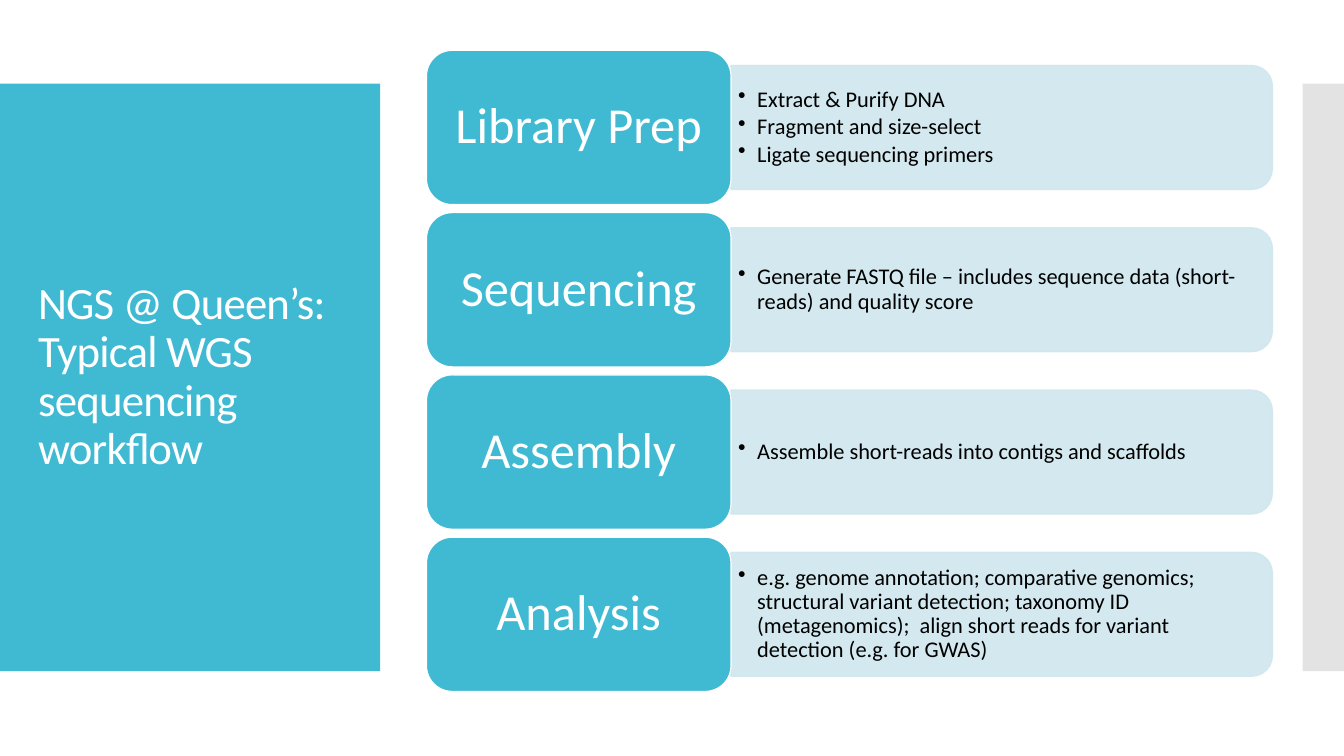
from lxml.etree import SubElement
from pptx import Presentation
from pptx.dml.color import RGBColor
from pptx.enum.shapes import MSO_SHAPE as Shape
from pptx.enum.text import MSO_ANCHOR as Anchor, PP_ALIGN as Align
from pptx.oxml.ns import qn
from pptx.util import Pt

PX = 9144  # EMU in one px, 100 px to the inch
FONT = "Calibri"
COLORS = {
    "teal": "40BAD2",
    "pale": "CFE7EE",
    "gray": "C8C8C8",
    "white": "FFFFFF",
    "black": "000000",
}
STEPS = [
    ("Library Prep", ["Extract & Purify DNA", "Fragment and size-select",
                      "Ligate sequencing primers"]),
    ("Sequencing", ["Generate FASTQ file – includes sequence data "
                    "(short-reads) and quality score"]),
    ("Assembly", ["Assemble short-reads into contigs and scaffolds"]),
    ("Analysis", ["e.g. genome annotation; comparative genomics; structural "
                  "variant detection; taxonomy ID (metagenomics);  align short "
                  "reads for variant detection (e.g. for GWAS)"]),
]


def emu(*lengths):
    return [round(length * PX) for length in lengths]


def paint(color_format, color, alpha):
    """Set a solid colour and its opacity in percent."""
    color_format.fore_color.rgb = RGBColor.from_string(COLORS[color])
    if alpha < 100:
        fill = color_format._xPr.find(qn("a:solidFill"))
        SubElement(fill[0], qn("a:alpha"), val=str(alpha * 1000))


def add_block(slide, kind, box, color, line=None, alpha=100):
    shape = slide.shapes.add_shape(kind, *emu(*box))
    shape.shadow.inherit = False
    shape.fill.solid()
    paint(shape.fill, color, alpha)
    if line:
        shape.line.width = Pt(0.85)
        shape.line.fill.solid()
        paint(shape.line.fill, line, alpha)
    else:
        shape.line.fill.background()
    return shape


def write(shape, lines, size, color, insets=(10, 5), align=Align.LEFT,
          after=0, bullet=False, spacing=0):
    """Fill a shape with one paragraph per line; insets are (side, top)."""
    frame = shape.text_frame
    frame.word_wrap = True
    frame.vertical_anchor = Anchor.MIDDLE
    side, top = emu(*insets)
    frame.margin_left = frame.margin_right = side
    frame.margin_top = frame.margin_bottom = top
    for index, line in enumerate(lines):
        paragraph = frame.add_paragraph() if index else frame.paragraphs[0]
        paragraph.text = line
        paragraph.alignment = align
        paragraph.line_spacing = 0.9
        paragraph.space_after = Pt(after)
        if bullet:
            properties = paragraph._p.get_or_add_pPr()
            indent, = emu(19)
            properties.set("marL", str(indent))
            properties.set("indent", str(-indent))
            SubElement(properties, qn("a:buChar"), char="•")
        for run in paragraph.runs:
            run.font.name = FONT
            run.font.size = Pt(size)
            run.font.color.rgb = RGBColor.from_string(COLORS[color])
            if spacing:
                run._r.get_or_add_rPr().set("spc", str(spacing))


def add_title_panel(slide, left, top, width, height):
    add_block(slide, Shape.RECTANGLE, (left, top, width, height), "teal")
    title = slide.shapes.add_textbox(
        *emu(left + 28, top + 40, width - 55, height - 80))
    write(title, ["NGS @ Queen’s:\vTypical WGS sequencing workflow"], 32,
          "white", spacing=-60)


def add_step(slide, left, top, width, height, name, details):
    label_width = 302
    panel_left, panel_width = left + label_width, width - label_width
    panel_height = height - 30

    # Detail panel: a tall shape turned so its round corners face right
    panel = add_block(
        slide, Shape.ROUND_2_SAME_RECTANGLE,
        (panel_left + (panel_width - panel_height) / 2,
         top + (height - panel_width) / 2, panel_height, panel_width),
        "pale", line="pale", alpha=90)
    panel.rotation = 90
    text = slide.shapes.add_textbox(
        *emu(panel_left, top + 21, panel_width - 6, height - 42))
    write(text, details, 16, "black", insets=(7, 3), after=2.4, bullet=True)

    # Step label
    label = add_block(slide, Shape.ROUNDED_RECTANGLE,
                      (left, top, label_width, height), "teal", line="white")
    write(label, [name], 36, "white", insets=(15, 7), align=Align.CENTER)


def add_workflow(slide, left, top, width, height):
    step_height = 153
    pitch = (height - step_height) / (len(STEPS) - 1)
    for index, (name, details) in enumerate(STEPS):
        add_step(slide, left, top + index * pitch, width, step_height,
                 name, details)


def main():
    presentation = Presentation()
    presentation.slide_width, presentation.slide_height = emu(1333, 750)
    slide = presentation.slides.add_slide(presentation.slide_layouts[6])
    add_title_panel(slide, 0, 83, 377, 583)
    # Accent strip at the right edge
    add_block(slide, Shape.RECTANGLE, (1292, 83, 41, 583), "gray", alpha=50)
    add_workflow(slide, 423, 50, 839, 636)
    presentation.save("out.pptx")


if __name__ == "__main__":
    main()
